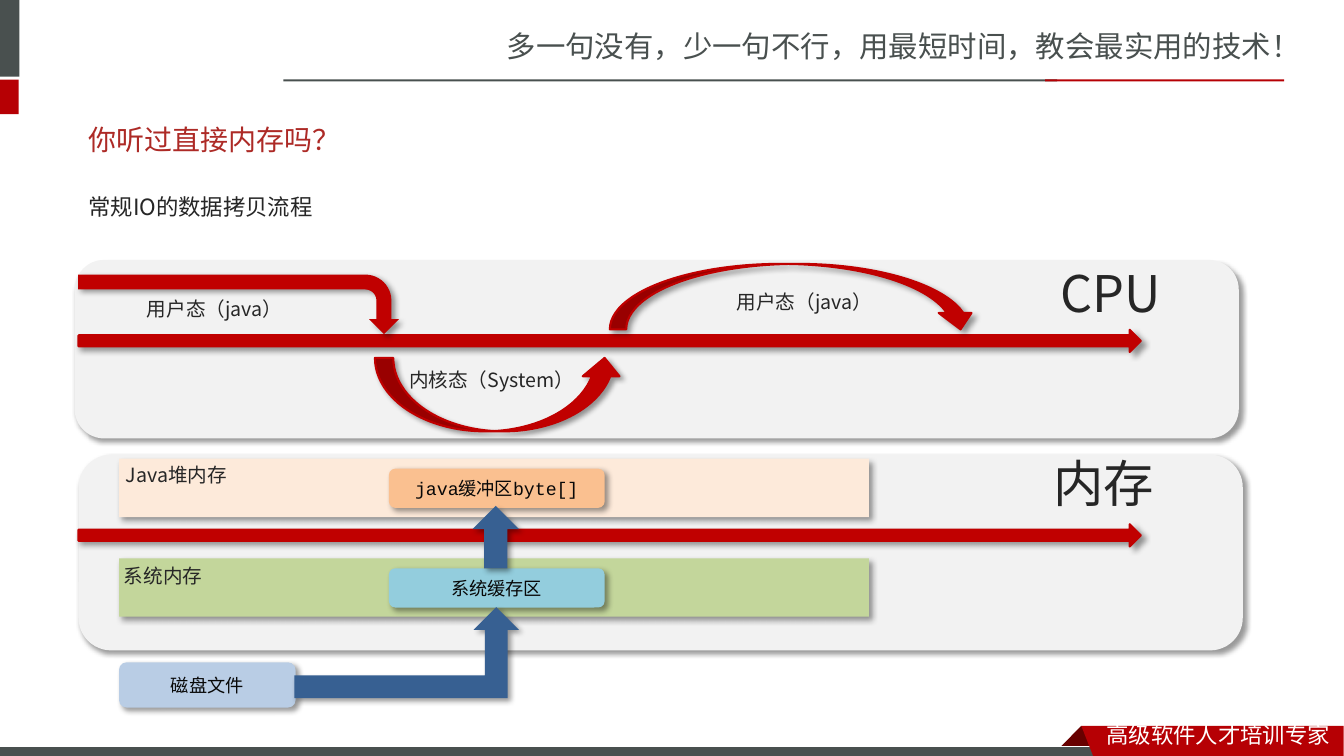
import pptx
import pptx.dml.color
import pptx.enum.shapes
import pptx.enum.text
import pptx.oxml
import pptx.oxml.ns
import pptx.util

Cm = pptx.util.Cm
Pt = pptx.util.Pt
SHAPES = pptx.enum.shapes.MSO_SHAPE
ALIGN = pptx.enum.text.PP_ALIGN
ANCHOR = pptx.enum.text.MSO_ANCHOR

COLORS = {
    "grey": "49504F", "brand": "B60004", "fold": "680000", "white": "FFFFFF",
    "title": "AD2A26", "text": "262626", "label": "080808",
    "panel": "F2F2F2", "flow": "C00000", "copy": "376092",
    "heap": "FDEADA", "heap buffer": "FAC090",
    "system": "C3D69B", "system buffer": "93CDDD", "disk": "B9CDE5",
}
SANS = "Noto Sans CJK SC"
BODY = "Noto Sans CJK JP"
SHADOW = (
    '<a:effectLst xmlns:a="http://schemas.openxmlformats.org/drawingml/2006/main">'
    '<a:outerShdw blurRad="50800" dist="38100" dir="2700000" algn="tl" rotWithShape="0">'
    '<a:srgbClr val="000000"><a:alpha val="40000"/></a:srgbClr>'
    '</a:outerShdw></a:effectLst>'
)


def rgb(color):
    return pptx.dml.color.RGBColor.from_string(COLORS[color])


def paint(shape, fill, line=None, line_width=1.5):
    shape.shadow.inherit = False
    shape.fill.solid()
    shape.fill.fore_color.rgb = rgb(fill)
    if line:
        shape.line.color.rgb = rgb(line)
        shape.line.width = Pt(line_width)
    else:
        shape.line.fill.background()


def write(shape, text, size, color, latin, east_asian, spacing=1.0, align=ALIGN.LEFT):
    paragraph = shape.text_frame.paragraphs[0]
    paragraph.alignment = align
    paragraph.line_spacing = spacing
    run = paragraph.add_run()
    run.text = text
    for name, value in {"size": Pt(size), "name": latin}.items():
        setattr(run.font, name, value)
    run.font.color.rgb = rgb(color)
    properties = run.font._element
    face = properties.makeelement(pptx.oxml.ns.qn("a:ea"), {"typeface": east_asian})
    properties.find(pptx.oxml.ns.qn("a:latin")).addnext(face)


def add_flat(slide, kind, box, fill, line=None, line_width=1.5):
    shape = slide.shapes.add_shape(kind, *map(Cm, box))
    paint(shape, fill, line, line_width)
    return shape


def add_raised(slide, kind, box, fill, line=None):
    """Add a shape with a soft shadow to the lower right."""
    shape = add_flat(slide, kind, box, fill, line)
    properties = shape._element.spPr
    properties.remove(properties.find(pptx.oxml.ns.qn("a:effectLst")))
    properties.append(pptx.oxml.parse_xml(SHADOW))
    return shape


def add_outline(slide, points, fill):
    start, *others = [(Cm(x), Cm(y)) for x, y in points]
    builder = slide.shapes.build_freeform(*start)
    builder.add_line_segments(others, close=True)
    paint(builder.convert_to_shape(), fill)


def add_block(slide, box, fill, text):
    """Add a rounded block with a centred label."""
    shape = add_raised(slide, SHAPES.ROUNDED_RECTANGLE, box, fill)
    shape.text_frame.vertical_anchor = ANCHOR.MIDDLE
    write(shape, text, 13, "label", "Courier New", SANS, align=ALIGN.CENTER)


def add_text(slide, box, text, size, color="text", latin=BODY, east_asian=BODY,
             spacing=1.28, **frame_format):
    shape = slide.shapes.add_textbox(*map(Cm, box))
    for name, value in {"word_wrap": True, **frame_format}.items():
        setattr(shape.text_frame, name, value)
    write(shape, text, size, color, latin, east_asian, spacing)


def add_frame(slide):
    """Add the slogan, the rules and the footer ribbon."""
    heading = {"latin": SANS, "east_asian": SANS, "spacing": 1.0, "margin_top": 0}
    add_text(slide, (12.52, 0.71, 21.36, 1.19),
             "多一句没有，少一句不行，用最短时间，教会最实用的技术！", 21, "grey", **heading)
    for box, fill in (
        ((-0.15, 0, 0.64, 1.93), "grey"),
        ((-0.15, 2.01, 0.62, 0.87), "brand"),
        ((7.14, 2, 19.5, 0.05), "grey"),
        ((26.34, 2, 6.02, 0.05), "brand"),
    ):
        add_flat(slide, SHAPES.RECTANGLE, box, fill)
    add_outline(slide, [(27.25, 18.29), (27.81, 18.85), (27.79, 18.87),
                        (26.72, 18.87), (26.7, 18.85)], "fold")
    add_flat(slide, SHAPES.RECTANGLE, (-0.03, 18.82, 27.94, 0.3), "grey", "white", 0.75)
    add_outline(slide, [(27.25, 18.29), (33.86, 18.29), (33.86, 19.15),
                        (27.58, 19.13)], "brand")
    add_text(slide, (27.64, 18.16, 6.22, 0.94), "高级软件人才培训专家", 16, "white", **heading)


def add_diagram(slide):
    for box in ((1.88, 6.55, 29.34, 4.5), (1.98, 11.46, 29.34, 4.93)):
        add_raised(slide, SHAPES.ROUNDED_RECTANGLE, box, "panel")
    for top in (8.31, 13.21):
        add_raised(slide, SHAPES.RIGHT_ARROW, (1.98, top, 26.77, 0.56), "flow", "flow")

    user_arrow = add_raised(slide, SHAPES.BENT_ARROW, (5.26, 3.63, 1.5, 8.08), "flow")
    user_arrow.rotation = 90
    add_raised(slide, SHAPES.CURVED_UP_ARROW, (9.45, 9.02, 6.25, 1.85), "flow", "flow")
    add_raised(slide, SHAPES.CURVED_DOWN_ARROW, (15.37, 6.65, 9.25, 1.65), "flow", "flow")

    for top, area, label in (
        (11.56, "heap", "java缓冲区byte[]"),
        (14.07, "system", "系统缓存区"),
    ):
        add_raised(slide, SHAPES.RECTANGLE, (3, top, 18.9, 1.47), area)
        add_block(slide, (9.8, top + 0.25, 5.44, 0.99), area + " buffer", label)
    add_block(slide, (3, 16.69, 4.45, 1.14), "disk", "磁盘文件")
    add_raised(slide, SHAPES.BENT_UP_ARROW, (7.42, 15.3, 5.66, 2.29), "copy")
    add_raised(slide, SHAPES.UP_ARROW, (11.91, 12.75, 1.17, 1.57), "copy")

    for box, text, size in (
        ((26.47, 6.05, 3.25, 2.31), "CPU", 36),
        ((26.29, 10.85, 3.25, 2.54), "内存", 36),
        ((18.31, 7.01, 3.99, 1.27), "用户态（java）", 14),
        ((3.45, 7.19, 3.99, 1.27), "用户态（java）", 14),
        ((10.06, 8.97, 5.31, 1.27), "内核态（System）", 14),
        ((2.92, 11.38, 5.31, 1.27), "Java堆内存", 14),
        ((2.87, 13.92, 5.31, 1.27), "系统内存", 14),
    ):
        add_text(slide, box, text, size)


def main():
    presentation = pptx.Presentation()
    presentation.slide_width = Cm(33.87)
    presentation.slide_height = Cm(19.05)
    slide = presentation.slides.add_slide(presentation.slide_layouts[6])
    add_frame(slide)
    add_text(slide, (1.98, 2.79, 29.72, 1.45), "你听过直接内存吗？", 20, "title",
             latin="Lato", east_asian=SANS, spacing=1.0, vertical_anchor=ANCHOR.MIDDLE)
    add_text(slide, (1.98, 4.55, 29.72, 1.6), "常规IO的数据拷贝流程", 16)
    add_diagram(slide)
    presentation.save("out.pptx")


if __name__ == "__main__":
    main()
